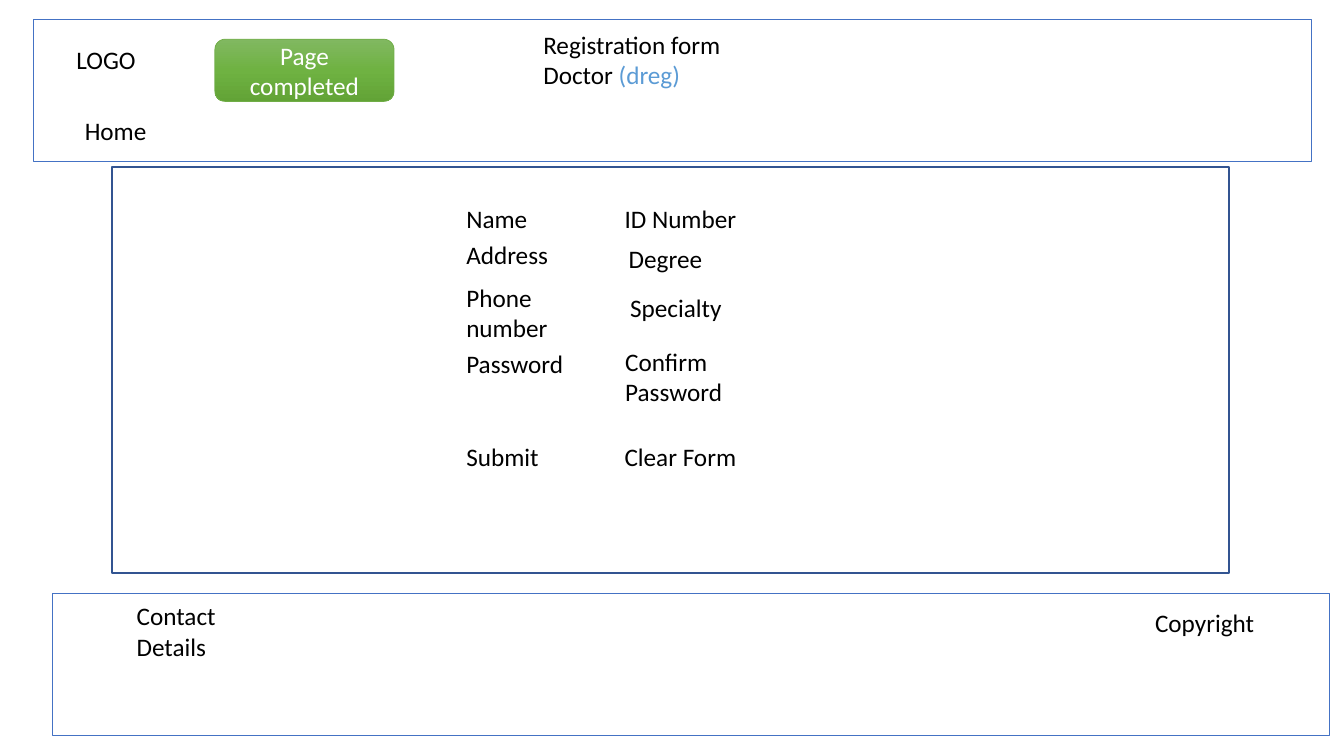
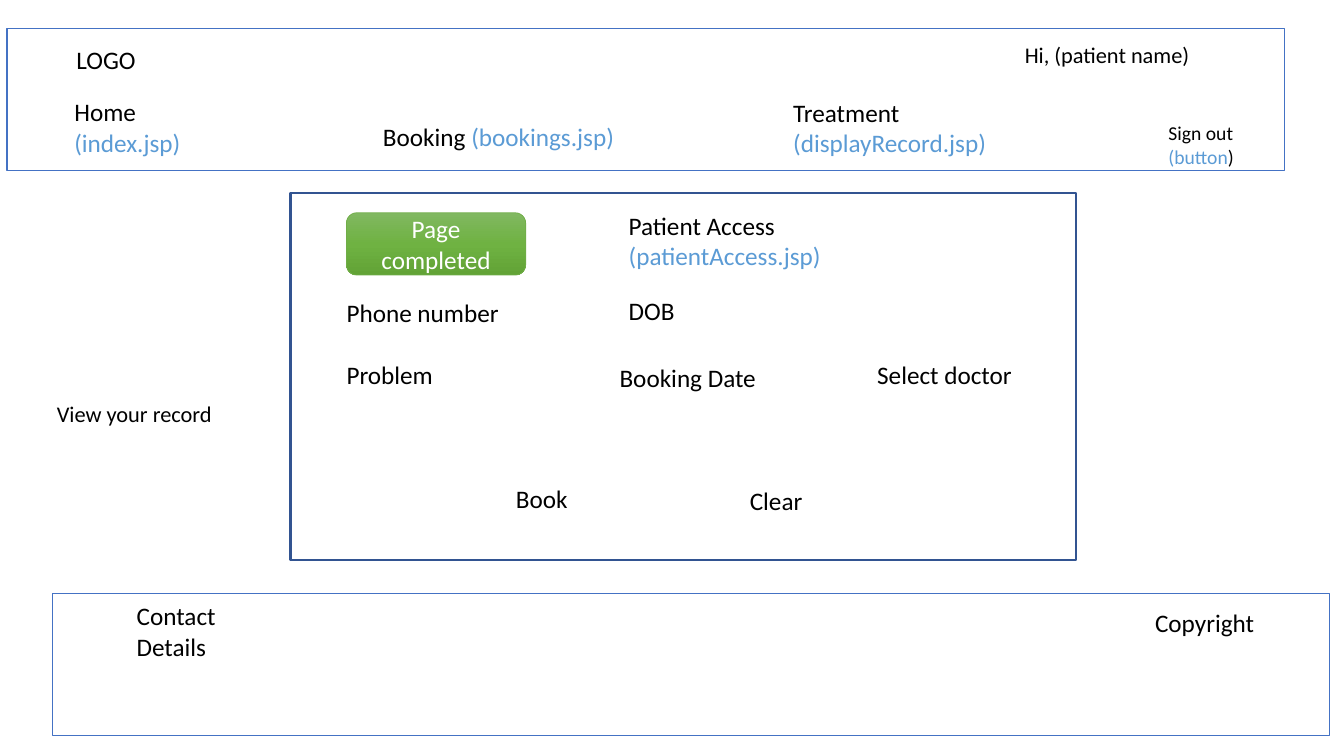
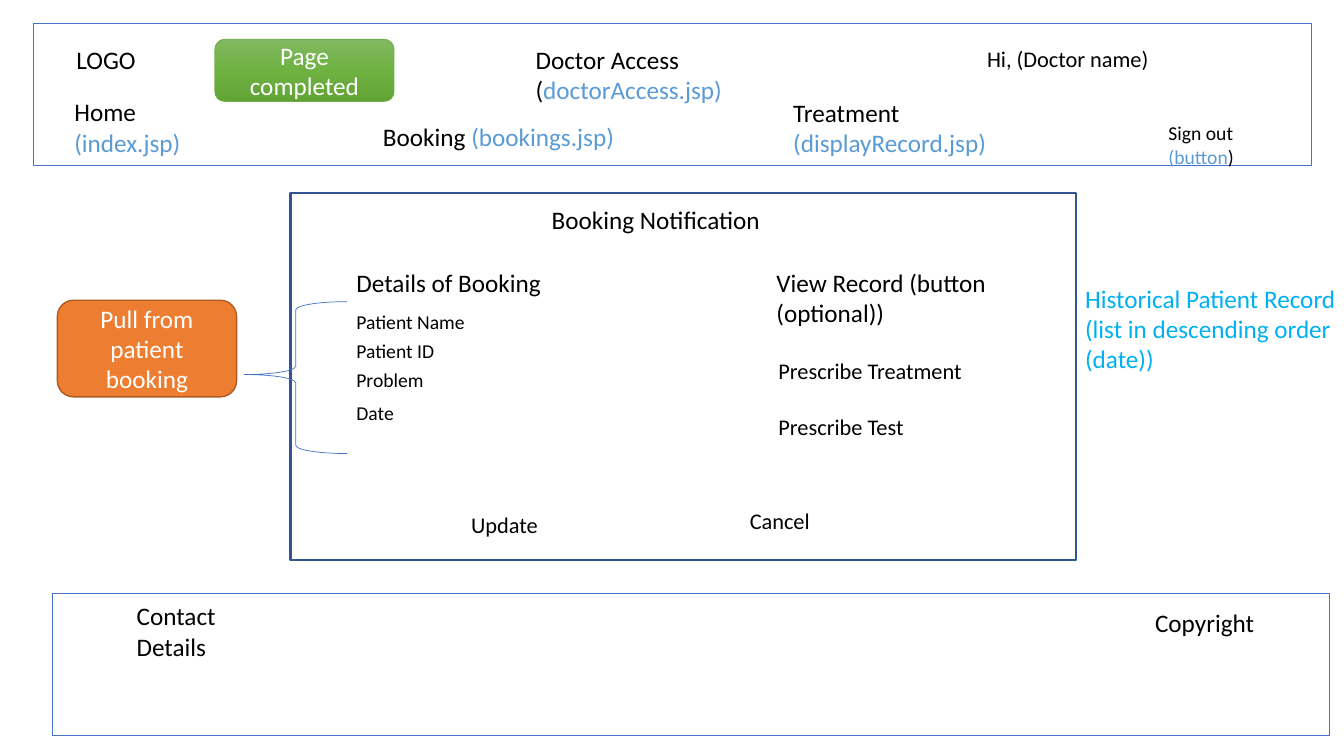
from copy import deepcopy
from dataclasses import dataclass

from pptx import Presentation
from pptx.dml.color import RGBColor
from pptx.enum.shapes import MSO_SHAPE as Preset
from pptx.enum.text import MSO_ANCHOR as Anchor, MSO_AUTO_SIZE as AutoSize, PP_ALIGN as Align
from pptx.oxml.ns import qn
from pptx.util import Pt


@dataclass(frozen=True)
class Theme:
    """Colours, font and type sizes of the deck."""
    font: str = "Calibri"
    body: int = 18
    medium: int = 16
    small: int = 14
    ink: str = "000000"
    accent: str = "5B9BD5"
    history: str = "00B0F0"
    white: str = "FFFFFF"
    band: str = "4472C4"
    panel: str = "325491"
    done: tuple = ("81B861", "6FB242", "62A336")
    done_line: str = "70AD47"
    source: str = "ED7D31"
    source_line: str = "AF5C24"


THEME = Theme()


@dataclass(frozen=True)
class Label:
    """Text at a place in points; bars switch between ink and accent."""
    text: str
    left: float
    top: float
    width: float
    lines: int = 1
    size: int = THEME.body
    colour: str = THEME.ink


def column(left, width, size, rows):
    """Return labels that share a left edge, width and size."""
    return [Label(text, left, top, width, size=size) for text, top in rows]


BAND_SIZE = (912.5, 101.5)
FOOTER_AT = (37.5, 424)
BADGE_SIZE = (128, 44.5)
ACCESS_PANEL = (207.5, 138, 561, 262)

COMMON = [
    Label("LOGO", 47.5, 28, 134),
    Label("Contact Details", 90.5, 425.5, 100, 2),
    Label("Copyright", 818, 430, 100),
]
NAVIGATION = [
    Label("Home |(index.jsp)", 46, 65.5, 137, 2),
    Label("Booking |(bookings.jsp)", 266.5, 83, 233),
    Label("Treatment |(displayRecord.jsp)", 559.5, 66, 225.5, 2),
    Label("Sign out |(button|)", 827.5, 83, 84, 2, THEME.small),
]
REGISTRATION = [
    Label("Home", 53.5, 79, 100),
    Label("Registration form Doctor |(dreg)", 381, 17.5, 189, 2),
    *column(326, 117, THEME.body, [
        ("Name", 142), ("Address", 167.5), ("Password", 245), ("Submit", 312)]),
    Label("Phone number", 326, 198, 117, 2),
    *column(439, 110, THEME.body, [("ID Number", 142), ("Clear Form", 312)]),
    Label("Degree", 442, 170.5, 110),
    Label("Specialty", 443, 205.5, 110),
    Label("Confirm Password", 439.5, 243.5, 117, 2),
]
PATIENT_ACCESS = [
    Label("Hi, (patient name)", 725, 25.5, 225, size=THEME.medium),
    Label("View your record", 33.5, 282, 140, size=THEME.medium),
    Label("Patient Access\n|(patientAccess.jsp)", 442, 146.5, 172, 2),
    *column(240.5, 124, THEME.body, [("Phone number", 209), ("Problem", 253)]),
    Label("DOB", 442, 207.5, 124),
    Label("Booking Date", 435.5, 255, 124),
    Label("Select doctor", 619.5, 253, 124),
    Label("Book", 361.5, 341.5, 161),
    Label("Clear", 528.5, 343, 79),
]
DOCTOR_ACCESS = [
    Label("Hi, (Doctor name)", 698, 28.5, 225, size=THEME.medium),
    Label("Doctor Access\n(|doctorAccess.jsp)", 375.5, 28, 172, 2),
    Label("Booking Notification", 387, 142.5, 217.5),
    Label("Details of Booking", 247.5, 187.5, 178.5),
    *column(247.5, 127.5, THEME.small, [
        ("Patient Name", 218), ("Patient ID", 238.5), ("Problem", 259), ("Date", 282.5)]),
    Label("View Record (button (optional))", 547.5, 187.5, 178.5, 2),
    *column(549, 150, THEME.medium, [
        ("Prescribe Treatment", 251.5), ("Prescribe Test", 291.5)]),
    Label("Update", 329.5, 361.5, 150, size=THEME.medium),
    Label("Cancel", 528.5, 359, 150, size=THEME.medium),
    Label("Historical Patient Record (list in descending order (date))",
          768, 198.5, 217.5, 3, colour=THEME.history),
]
# Header corner, panel box, badge corner, labels
PAGES = [
    ((24, 14), (80, 119.5, 798, 289.5), (153.5, 28), REGISTRATION),
    ((5, 20), ACCESS_PANEL, (247.5, 152), NAVIGATION + PATIENT_ACCESS),
    ((24, 16.5), ACCESS_PANEL, (153.5, 28), NAVIGATION + DOCTOR_ACCESS),
]
BOOKING_SOURCE = ("Pull from patient booking", (41, 214.5, 128, 69))
BOOKING_BRACE = (174.5, 215.5, 73.5, 108.5)


def style_run(run, size, colour):
    """Apply the deck font, a size and a colour to a run."""
    run.font.name = THEME.font
    run.font.size = Pt(size)
    run.font.color.rgb = RGBColor.from_string(colour)


def add_label(slide, label):
    """Add a text box whose bar-separated parts alternate colour."""
    height = label.lines * label.size * 1.22 + 7.2
    box = slide.shapes.add_textbox(
        *map(Pt, (label.left, label.top, label.width, height)))
    frame = box.text_frame
    frame.word_wrap = True
    frame.auto_size = AutoSize.SHAPE_TO_FIT_TEXT
    for number, line in enumerate(label.text.split("\n")):
        paragraph = frame.add_paragraph() if number else frame.paragraphs[0]
        for position, part in enumerate(line.split("|")):
            if part:
                run = paragraph.add_run()
                run.text = part
                style_run(run, label.size, THEME.accent if position % 2 else label.colour)


def add_outline(slide, preset, box, colour, weight):
    """Add an unfilled preset shape and return it."""
    shape = slide.shapes.add_shape(preset, *map(Pt, box))
    shape.shadow.inherit = False
    shape.fill.background()
    shape.line.color.rgb = RGBColor.from_string(colour)
    shape.line.width = Pt(weight)
    return shape


def add_button(slide, text, box, line_colour, weight):
    """Add a rounded button with centred white text and return it."""
    button = add_outline(slide, Preset.ROUNDED_RECTANGLE, box, line_colour, weight)
    frame = button.text_frame
    frame.text = text
    frame.word_wrap = True
    frame.vertical_anchor = Anchor.MIDDLE
    frame.paragraphs[0].alignment = Align.CENTER
    style_run(frame.paragraphs[0].runs[0], THEME.body, THEME.white)
    return button


def fill_gradient(shape, colours):
    """Fill a shape from top to bottom with evenly spaced colours."""
    shape.fill.gradient()
    shape.fill.gradient_angle = 270
    stops = shape.element.spPr.find(".//" + qn("a:gsLst"))
    while len(stops) < len(colours):
        stops.append(deepcopy(stops[0]))
    for number, (stop, colour) in enumerate(zip(shape.fill.gradient_stops, colours)):
        stop.position = number / (len(colours) - 1)
        stop.color.rgb = RGBColor.from_string(colour)


def add_page(deck, header_at, panel, badge_at, labels):
    """Add a page with bands, panel, labels and completion badge."""
    slide = deck.slides.add_slide(deck.slide_layouts[6])
    for corner in (header_at, FOOTER_AT):
        add_outline(slide, Preset.RECTANGLE, corner + BAND_SIZE, THEME.band, 0.75)
    add_outline(slide, Preset.RECTANGLE, panel, THEME.panel, 1.5)
    for label in COMMON + labels:
        add_label(slide, label)
    badge = add_button(slide, "Page completed", badge_at + BADGE_SIZE, THEME.done_line, 0.5)
    fill_gradient(badge, THEME.done)
    return slide


def add_booking_source(slide):
    """Add the source button and the brace around the booking details."""
    brace = add_outline(slide, Preset.LEFT_BRACE, BOOKING_BRACE, THEME.band, 0.5)
    brace.adjustments[0] = 0.08
    brace.adjustments[1] = 0.48
    text, box = BOOKING_SOURCE
    button = add_button(slide, text, box, THEME.source_line, 1)
    button.fill.solid()
    button.fill.fore_color.rgb = RGBColor.from_string(THEME.source)


def main():
    """Build and save the deck."""
    deck = Presentation()
    deck.slide_width, deck.slide_height = Pt(960), Pt(540)
    pages = [add_page(deck, *page) for page in PAGES]
    add_booking_source(pages[-1])
    deck.save("out.pptx")


main()
